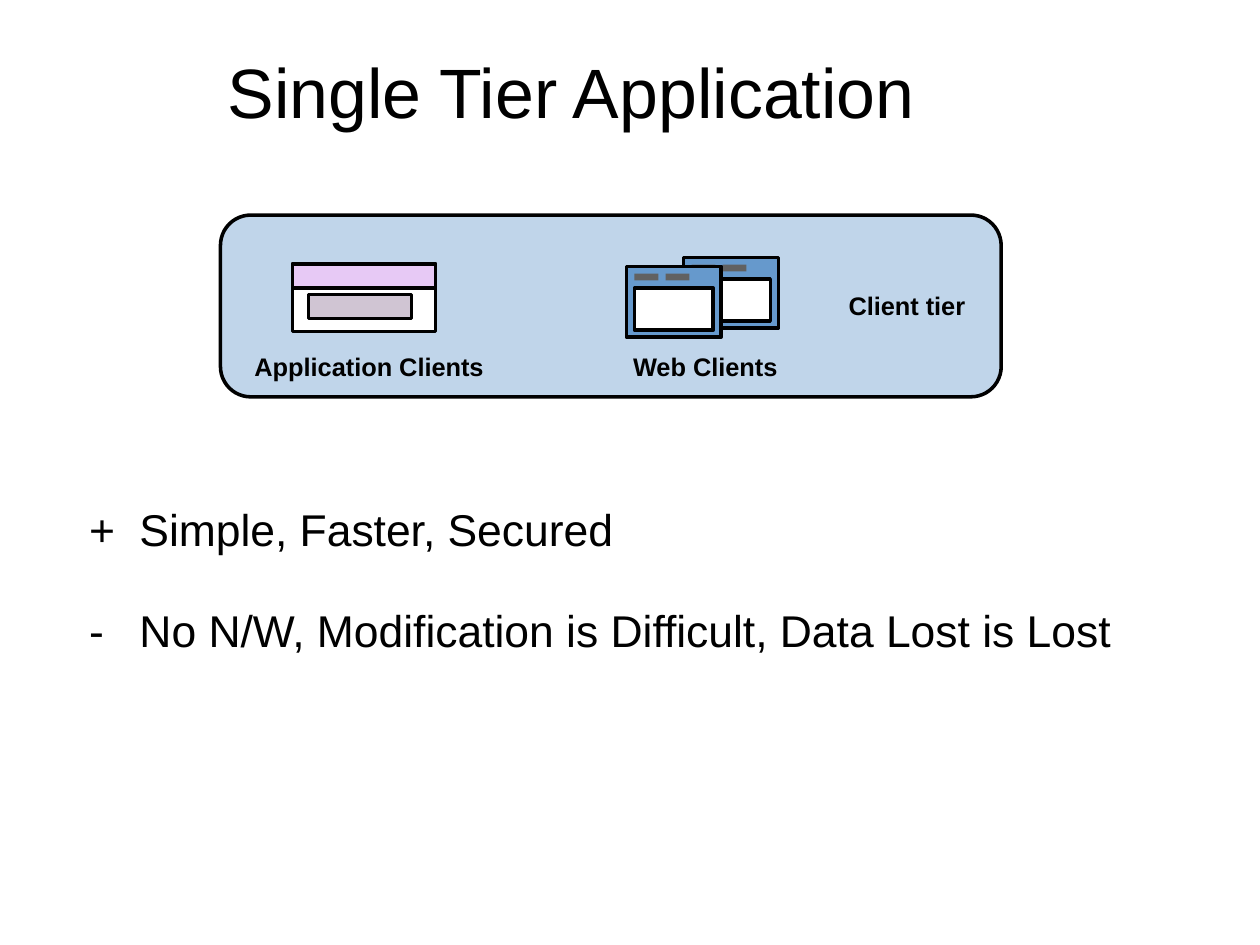
from pptx import Presentation
from pptx.dml.color import RGBColor
from pptx.enum.shapes import MSO_SHAPE
from pptx.enum.text import PP_ALIGN
from pptx.util import Cm, Pt

RECT = MSO_SHAPE.RECTANGLE
PANEL = MSO_SHAPE.FLOWCHART_ALTERNATE_PROCESS
FRAME = MSO_SHAPE.FLOWCHART_PROCESS
LEFT, CENTER = PP_ALIGN.LEFT, PP_ALIGN.CENTER

# Content: boxes are left, top, width, height in cm
TITLE = "Single Tier Application"
LABELS = [
    ("Application Clients", (4.93, 7.67, 6.55, 0.94)),
    ("Web Clients", (11.79, 7.67, 7.77, 0.94)),
    ("Client tier", (17.93, 6.32, 4.45, 0.94)),
]
NOTES = [
    ("+", "Simple, Faster, Secured"),
    ("-", "No N/W, Modification is Difficult, Data Lost is Lost"),
]
WEB = [(15.19, 5.72), (13.92, 5.92)]  # back window first


class Theme:
    font = "Arial"
    ink = RGBColor(0, 0, 0)
    white = RGBColor(255, 255, 255)
    panel = RGBColor(0xC0, 0xD5, 0xEA)
    bar = RGBColor(0xE7, 0xC9, 0xF5)
    field = RGBColor(0xD0, 0xC5, 0xD3)
    web = RGBColor(0x66, 0x99, 0xCC)
    dash = RGBColor(0x61, 0x61, 0x61)
    line = Pt(2.25)
    title, label, note = Pt(44), Pt(16), Pt(28)


def draw(home, kind, box, fill, edge=True):
    shape = home.add_shape(kind, *map(Cm, box))
    shape.shadow.inherit = False
    shape.fill.solid()
    shape.fill.fore_color.rgb = fill
    if edge:
        shape.line.color.rgb = Theme.ink
        shape.line.width = Theme.line
    else:
        shape.line.fill.background()


def write(home, box, lines, size, align=CENTER, bold=False, space=None):
    frame = home.add_textbox(*map(Cm, box)).text_frame
    frame.word_wrap = True
    frame.text = "\n".join(lines)
    for para in frame.paragraphs:
        para.alignment = align
        para.line_spacing = space
        para.font.name, para.font.size = Theme.font, size
        para.font.bold = bold
        para.font.color.rgb = Theme.ink
    return frame


def window(home, left, top):
    parts = home.add_group_shape().shapes
    draw(parts, RECT, (left, top, 2.11, 1.57), Theme.web)
    draw(parts, RECT, (left + 0.18, top + 0.48, 1.75, 0.94), Theme.white)
    for col in range(2):
        box = (left + 0.18 + col * 0.69, top + 0.16, 0.53, 0.15)
        draw(parts, RECT, box, Theme.dash, edge=False)


def main():
    deck = Presentation()
    deck.slide_width, deck.slide_height = Cm(28), Cm(21)
    home = deck.slides.add_slide(deck.slide_layouts[6]).shapes

    # Title
    frame = write(home, (1.7, 1.22, 22, 2.44), [TITLE], Theme.title, space=0.93)
    frame.margin_left = frame.margin_right = Cm(0.03)
    frame.margin_top = frame.margin_bottom = Cm(0.03)

    # Tier panel with the application form
    draw(home, PANEL, (4.9, 4.78, 17.35, 4.04), Theme.panel)
    form = home.add_group_shape().shapes
    draw(form, FRAME, (6.5, 5.87, 3.18, 1.5), Theme.white)
    draw(form, RECT, (6.5, 5.87, 3.18, 0.53), Theme.bar)
    draw(form, RECT, (6.86, 6.55, 2.29, 0.53), Theme.field)

    # Web windows and labels
    for left, top in WEB:
        window(home, left, top)
    for text, box in LABELS:
        write(home, box, [text], Theme.label, bold=True)

    # Pros and cons, with the signs hanging
    lines = [f"{sign}\t{text}" for sign, text in NOTES]
    frame = write(home, (1.73, 11.13, 24.97, 3.56), lines, Theme.note, LEFT, space=0.93)
    for para in frame.paragraphs:
        props = para._p.get_or_add_pPr()
        props.set("marL", str(Cm(1.12)))
        props.set("indent", str(-Cm(1.12)))
    for para in frame.paragraphs[1:]:
        para.space_before = Pt(32.5)

    deck.save("out.pptx")


if __name__ == "__main__":
    main()
